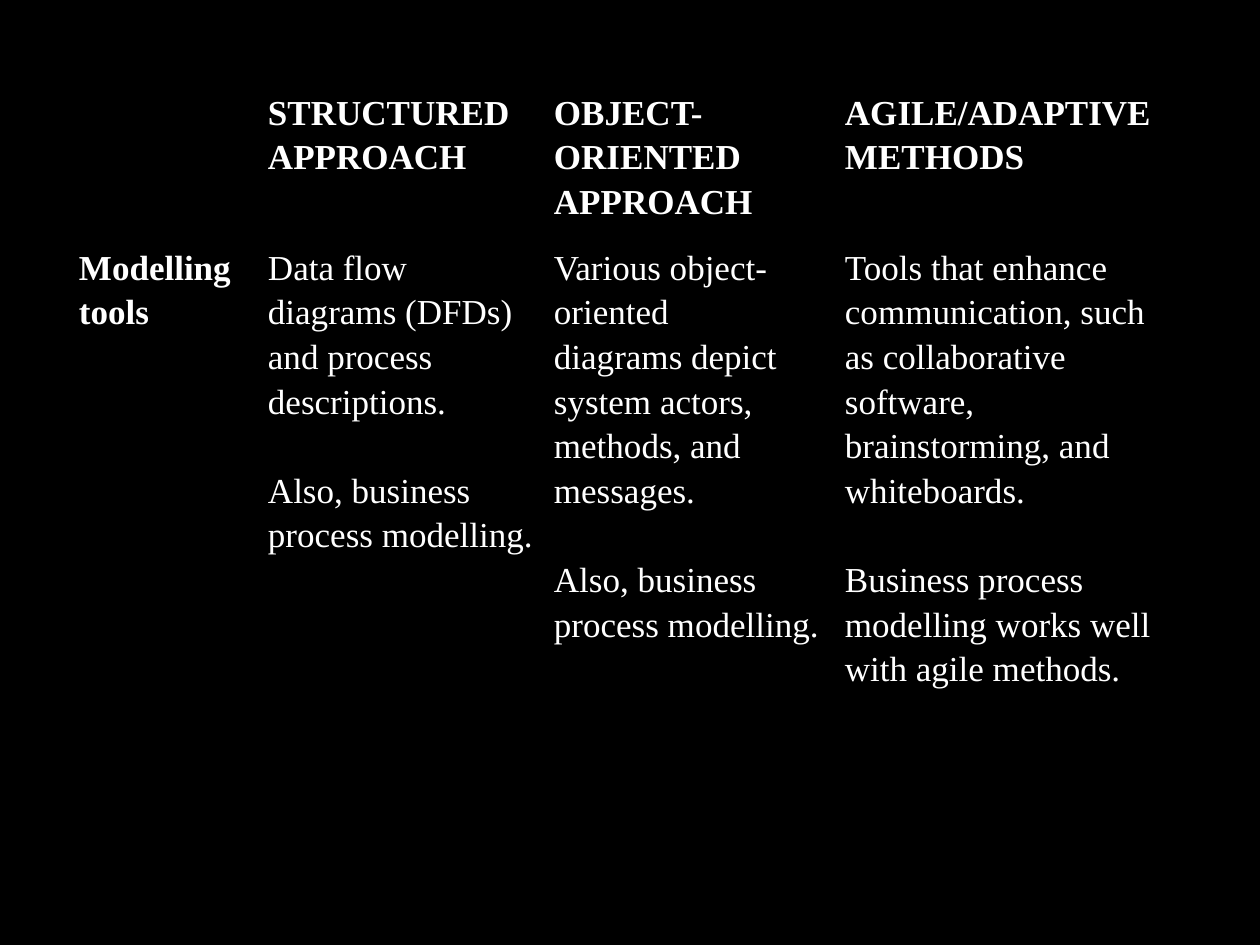
from lxml import etree
from pptx import Presentation
from pptx.dml.color import RGBColor
from pptx.enum.text import MSO_ANCHOR, PP_ALIGN
from pptx.oxml.ns import qn
from pptx.util import Emu, Pt

LEFT, JUSTIFY = PP_ALIGN.LEFT, PP_ALIGN.JUSTIFY
TOP = MSO_ANCHOR.TOP
COLORS = {"black": "000000", "white": "FFFFFF"}
FONT = "Times New Roman"
SIZE = 20
LINE_GAP = 25.5  # height of one text line in points


def px(n):
    return Emu(round(n * 914400 / 126))


def write(p, text, bold=False, align=LEFT, before=0):
    p.alignment = align
    p.line_spacing = 1.15
    p.space_before = Pt(before)
    r = p.add_run()
    r.text = text
    r.font.name = FONT
    r.font.size = Pt(SIZE)
    r.font.bold = bold
    r.font.color.rgb = RGBColor.from_string(COLORS["white"])


class Deck:
    def __init__(self, width, height):
        self.prs = Presentation()
        self.prs.slide_width, self.prs.slide_height = px(width), px(height)
        self.slide = self.prs.slides.add_slide(self.prs.slide_layouts[6])

    def background(self, color):
        fill = self.slide.background.fill
        fill.solid()
        fill.fore_color.rgb = RGBColor.from_string(COLORS[color])

    def table(self, left, top, widths, heights, rows):
        sp = self.slide.shapes.add_table(
            len(heights), len(widths), px(left), px(top),
            px(sum(widths)), px(sum(heights)))
        table = sp.table
        table.first_row = table.horz_banding = False
        for column, width in zip(table.columns, widths):
            column.width = px(width)
        for row, height in zip(table.rows, heights):
            row.height = px(height)
        for i, row in enumerate(rows):
            for j, paragraphs in enumerate(row):
                header = i == 0 or j == 0
                self.cell(table.cell(i, j), paragraphs, bold=header,
                          align=JUSTIFY if j == 0 else LEFT)

    def cell(self, cell, paragraphs, **style):
        cell.margin_left = cell.margin_right = px(5)
        cell.margin_top = cell.margin_bottom = 0
        cell.vertical_anchor = TOP
        self.borders(cell, "black")
        cell.fill.solid()
        cell.fill.fore_color.rgb = RGBColor.from_string(COLORS["black"])
        tf = cell.text_frame
        for n, text in enumerate(paragraphs):
            p = tf.add_paragraph() if n else tf.paragraphs[0]
            # The closing remark stands one line apart
            apart = n > 0 and paragraphs[n - 1].endswith(".")
            write(p, text, before=LINE_GAP if apart else 0, **style)

    def borders(self, cell, color):
        tc_pr = cell._tc.get_or_add_tcPr()
        for side in ("lnL", "lnR", "lnT", "lnB"):
            ln = etree.SubElement(tc_pr, qn(f"a:{side}"), w=str(Pt(1)))
            fill = etree.SubElement(ln, qn("a:solidFill"))
            etree.SubElement(fill, qn("a:srgbClr"), val=COLORS[color])


# Each cell is a list of paragraphs
ROWS = [
    [[],
     ["STRUCTURED APPROACH"],
     ["OBJECT-ORIENTED APPROACH"],
     ["AGILE/ADAPTIVE METHODS"]],
    [["Modelling", "tools"],
     ["Data flow diagrams (DFDs) and process descriptions.",
      "Also, business process modelling."],
     ["Various object-oriented",
      "diagrams depict system actors, methods, and",
      "messages.",
      "Also, business process modelling."],
     ["Tools that enhance",
      "communication, such as collaborative software, brainstorming, and",
      "whiteboards.",
      "Business process modelling works well with agile methods."]],
]


def main():
    deck = Deck(1260, 945)
    deck.background("black")
    # Comparison of approaches
    deck.table(74, 88, [189, 286, 291, 345], [155, 613], ROWS)
    deck.prs.save("out.pptx")


if __name__ == "__main__":
    main()
